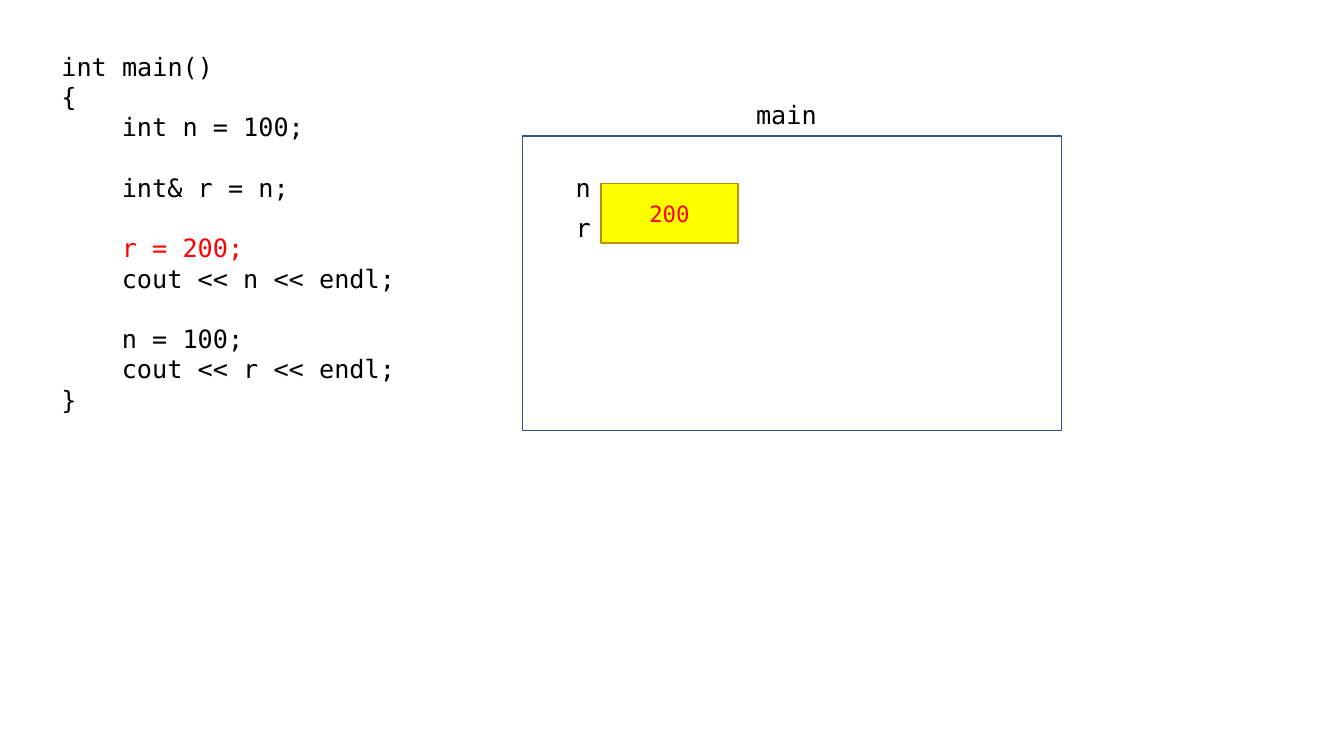
from dataclasses import dataclass
from typing import Any

from pptx import Presentation
from pptx import util as u
from pptx.dml.color import RGBColor
from pptx.enum import shapes, text

BLACK = RGBColor(0x00, 0x00, 0x00)
WHITE = RGBColor(0xFF, 0xFF, 0xFF)
RED = RGBColor(0xFF, 0x00, 0x00)
YELLOW = RGBColor(0xFF, 0xFF, 0x00)
FRAME_BLUE = RGBColor(0x32, 0x54, 0x91)
CELL_GOLD = RGBColor(0xBD, 0x8E, 0x00)

FONT = "DejaVu Sans Mono"
LINE_HEIGHT = u.Pt(21.6)
CODE_INDENT = u.Inches(0.6)


@dataclass
class Area:
    """Left, top, width and height in inches."""
    left: float
    top: float
    width: float
    height: float

    def lengths(self) -> list[u.Length]:
        """Return the four values as lengths."""
        return [u.Inches(value) for value in
                (self.left, self.top, self.width, self.height)]


@dataclass
class CodeLine:
    """One line of the program."""
    words: str
    indented: bool = True
    gap_before: bool = False
    color: RGBColor = BLACK


@dataclass
class Box:
    """A rectangle in the memory diagram."""
    area: Area
    fill: RGBColor
    line: RGBColor
    words: str = ""


@dataclass
class Label:
    """A name beside or above a box."""
    words: str
    area: Area


CODE_AREA = Area(0.51, 0.46, 4.59, 3.74)
CODE = [
    CodeLine("int main()", indented=False),
    CodeLine("{", indented=False),
    CodeLine("int n = 100;"),
    CodeLine("int& r = n;", gap_before=True),
    CodeLine("r = 200;", gap_before=True, color=RED),
    CodeLine("cout << n << endl;"),
    CodeLine("n = 100;", gap_before=True),
    CodeLine("cout << r << endl;"),
    CodeLine("}", indented=False),
]
BOXES = [
    Box(Area(5.18, 1.35, 5.35, 2.92), WHITE, FRAME_BLUE),
    Box(Area(5.96, 1.82, 1.36, 0.59), YELLOW, CELL_GOLD, "200"),
]
LABELS = [Label("main", Area(7.4, 0.94, 0.91, 0.4))] + [
    Label(name, Area(5.61, 1.66 + 0.4 * row, 0.56, 0.4))
    for row, name in enumerate("nr")
]


def apply(target: Any, values: dict[str, Any]) -> None:
    """Set each named attribute on the target."""
    for name, value in values.items():
        setattr(target, name, value)


def write(paragraph: Any, words: str, color: RGBColor = BLACK,
          size: int = 18) -> None:
    """Add one run of code text to a paragraph."""
    run = paragraph.add_run()
    apply(run, {"text": words})
    apply(run.font, {"name": FONT, "size": u.Pt(size)})
    run.font.color.rgb = color


def add_text_frame(slide: Any, area: Area) -> Any:
    """Add a wrapping text box and return its text frame."""
    frame = slide.shapes.add_textbox(*area.lengths()).text_frame
    frame.word_wrap = True
    return frame


def add_code(slide: Any, area: Area, lines: list[CodeLine]) -> None:
    """Write the program, one paragraph for each line."""
    frame = add_text_frame(slide, area)
    for index, line in enumerate(lines):
        paragraph = frame.add_paragraph() if index else frame.paragraphs[0]
        apply(paragraph, {
            "line_spacing": LINE_HEIGHT,
            "space_before": LINE_HEIGHT if line.gap_before else u.Pt(0),
        })
        if line.indented:
            paragraph._p.get_or_add_pPr().set("marL", str(CODE_INDENT))
        write(paragraph, line.words, line.color)


def add_box(slide: Any, box: Box) -> None:
    """Draw a rectangle with an optional centred value."""
    shape = slide.shapes.add_shape(
        shapes.MSO_SHAPE.RECTANGLE, *box.area.lengths())
    shape.shadow.inherit = False
    shape.fill.solid()
    shape.fill.fore_color.rgb = box.fill
    shape.line.color.rgb = box.line
    shape.line.width = u.Pt(1)
    if box.words:
        shape.text_frame.vertical_anchor = text.MSO_ANCHOR.MIDDLE
        paragraph = shape.text_frame.paragraphs[0]
        paragraph.alignment = text.PP_ALIGN.CENTER
        write(paragraph, box.words, RED, 16)


def add_label(slide: Any, label: Label) -> None:
    """Write a name in the memory diagram."""
    write(add_text_frame(slide, label.area).paragraphs[0], label.words)


def main() -> None:
    """Build and save the slide."""
    presentation = Presentation()
    apply(presentation, {"slide_width": u.Inches(13.33),
                         "slide_height": u.Inches(7.5)})
    slide = presentation.slides.add_slide(presentation.slide_layouts[6])
    add_code(slide, CODE_AREA, CODE)
    for box in BOXES:
        add_box(slide, box)
    for label in LABELS:
        add_label(slide, label)
    presentation.save("out.pptx")


main()
